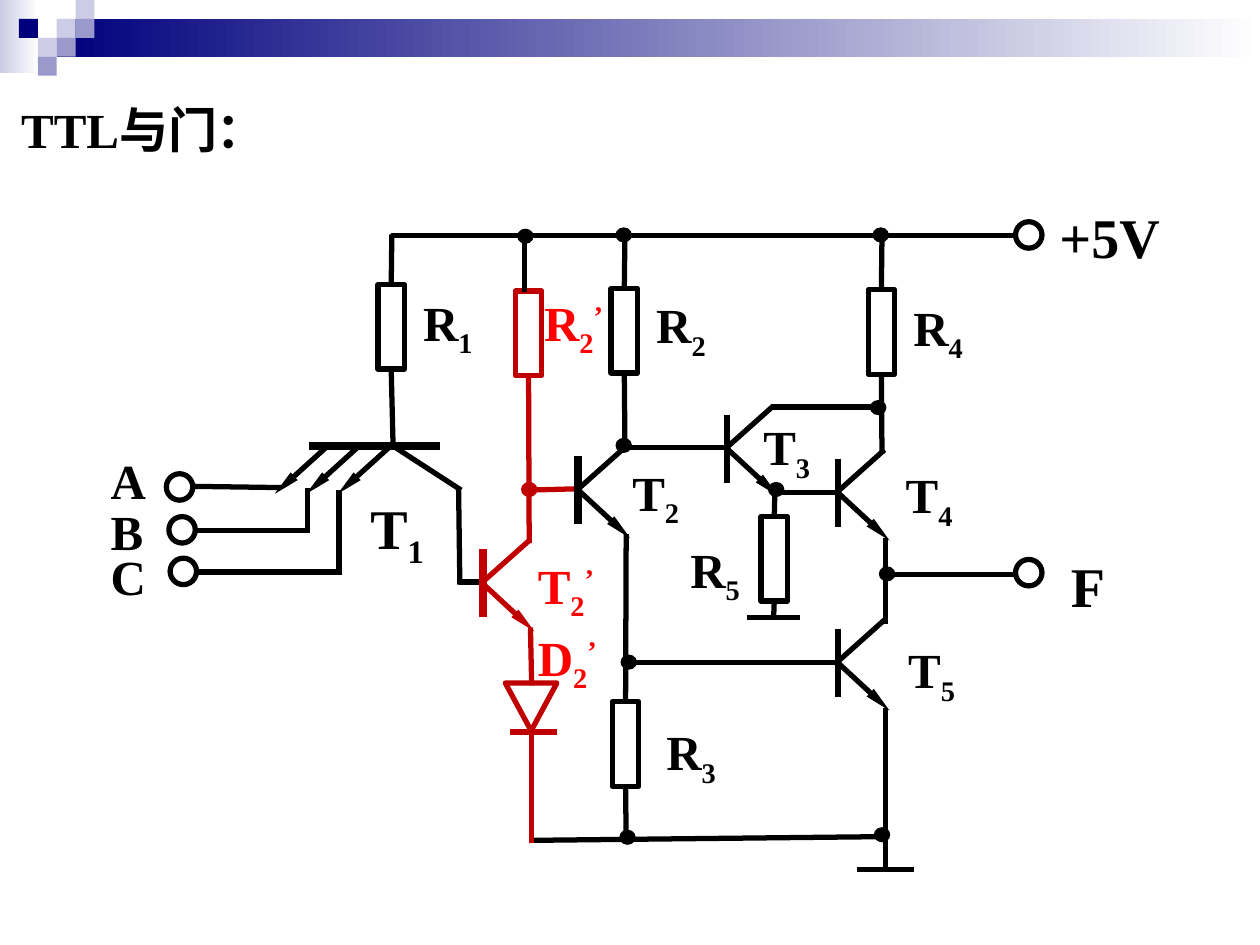
"""Build the slide with the TTL AND gate circuit."""
from lxml import etree
from pptx import Presentation
from pptx.dml.color import RGBColor
from pptx.enum.shapes import MSO_CONNECTOR as CON, MSO_SHAPE as SHP
from pptx.enum.text import MSO_AUTO_SIZE as AUTO
from pptx.oxml.ns import qn
from pptx.util import Cm, Pt

BLACK, RED, BRIGHT = "000000", "C00000", "FF0000"
NAVY, LILAC, PALE, WHITE = "00007D", "9999CC", "CCCCE6", "FFFFFF"
rgb = RGBColor.from_string


def inch(*values):
    return [Cm(2.54 * v) for v in values]


def shape(kind, box, fill=None, line=None, width=3):
    s = slide.shapes.add_shape(kind, *inch(*box))
    s.shadow.inherit = False
    s.fill.background()
    if fill:
        s.fill.solid()
        s.fill.fore_color.rgb = rgb(fill)
    s.line.fill.background()
    if line:
        s.line.color.rgb = rgb(line)
        s.line.width = Pt(width)
    return s


prs = Presentation()
prs.slide_width, prs.slide_height = inch(10, 7.5)
slide = prs.slides.add_slide(prs.slide_layouts[6])

for box, start in [((0, 0, 0.31, 0.58), PALE), ((0.45, 0.15, 9.55, 0.3), NAVY)]:
    s = shape(SHP.RECTANGLE, box)
    s.fill.gradient()
    s.fill.gradient_angle = 0
    for stop, color, pos in zip(s.fill.gradient_stops, (start, WHITE), (0, 1)):
        stop.color.rgb = rgb(color)
        stop.position = pos

for col, row, color in [
    (3, 1, PALE), (4, 0, PALE), (4, 1, LILAC), (2, 2, PALE),
    (1, 1, NAVY), (3, 2, LILAC), (2, 3, LILAC),
]:
    shape(SHP.RECTANGLE, (0.15 * col, 0.15 * row, 0.15, 0.15), color)

sites = []
for x, y, color in [
    (3, 2.26, BLACK), (4.09, 2.31, RED), (4.85, 2.29, BLACK),
    (6.89, 2.3, BLACK), (6.04, 4.1, BLACK), (4.86, 5.57, BLACK),
]:
    s = shape(SHP.RECTANGLE, (x, y, 0.21, 0.67), line=color)
    sites += [(s, 0, x + 0.105, y), (s, 2, x + 0.105, y + 0.67)]

wires = [
    (3.12, 3.54, 3.12, 2.95, BLACK),
    (3.12, 3.54, 3.66, 3.89, BLACK),
    (3.64, 3.89, 3.65, 4.64, BLACK),
    (3.83, 4.62, 3.64, 4.62, BLACK),
    (3.11, 2.25, 3.11, 1.86, BLACK),
    (3.1, 1.87, 8.07, 1.87, BLACK),
    (4.16, 2.32, 4.16, 1.89, BLACK),
    (4.96, 2.29, 4.96, 1.86, BLACK),
    (4.96, 3.55, 4.96, 2.96, BLACK),
    (5.77, 3.55, 4.96, 3.55, BLACK),
    (6.13, 3.91, 6.65, 3.91, BLACK),
    (6.13, 3.23, 7, 3.23, BLACK),
    (7, 3.6, 7, 2.97, BLACK),
    (7, 2.31, 7, 1.87, BLACK),
    (6.15, 3.89, 6.15, 4.1, BLACK),
    (6.14, 4.76, 6.14, 4.91, BLACK),
    (5.93, 4.9, 6.35, 4.9, BLACK),
    (4.97, 4.24, 4.97, 5.57, BLACK),
    (6.64, 5.26, 4.97, 5.26, BLACK),
    (4.97, 6.23, 4.97, 6.68, BLACK),
    (4.2, 6.67, 7.03, 6.64, BLACK),
    (7.03, 4.27, 7.03, 4.95, BLACK),
    (7.03, 5.62, 7.03, 6.91, BLACK),
    (6.8, 6.9, 7.25, 6.9, BLACK),
    (7.03, 4.56, 8.07, 4.56, BLACK),
    (2.23, 3.87, 1.53, 3.86, BLACK),
    (2.44, 3.87, 2.44, 4.23, BLACK),
    (2.44, 4.21, 1.55, 4.21, BLACK),
    (2.69, 3.89, 2.69, 4.56, BLACK),
    (2.71, 4.54, 1.57, 4.54, BLACK),
    (4.2, 4.31, 4.18, 3, RED),
    (4.21, 4.98, 4.22, 5.44, RED),
    (4.22, 5.81, 4.22, 6.69, RED),
    (4.56, 3.88, 4.19, 3.89, RED),
    (4.42, 5.81, 4.05, 5.81, RED),
]
lines = [(*wire, 3, False) for wire in wires]
lines.append((2.45, 3.54, 3.49, 3.54, BLACK, 4.5, False))
for x in (3.1, 2.85, 2.6):
    lines.append((x, 3.54, x - 0.42, 3.92, BLACK, 3, True))
for x, y, color, width in [
    (4.59, 3.89, BLACK, 4.5), (5.77, 3.56, BLACK, 3), (6.65, 3.91, BLACK, 3),
    (6.65, 5.26, BLACK, 3), (3.83, 4.63, RED, 4.5),
]:
    lines += [
        (x, y - 0.27, x, y + 0.27, color, width, False),
        (x, y, x + 0.41, y + 0.38, color, 3, True),
        (x, y - 0.01, x + 0.37, y - 0.34, color, 3, False),
    ]

for x1, y1, x2, y2, color, width, arrow in lines:
    s = slide.shapes.add_connector(CON.STRAIGHT, *inch(x1, y1, x2, y2))
    s.line.color.rgb = rgb(color)
    s.line.width = Pt(width)
    spPr = s._element.spPr
    etree.SubElement(spPr, qn("a:effectLst"))
    if arrow:
        etree.SubElement(spPr.find(qn("a:ln")), qn("a:tailEnd"), type="triangle", w="sm", len="lg")
    for body, site, x, y in sites:
        if max(abs(x1 - x), abs(y1 - y)) < 0.025:
            s.begin_connect(body, site)
        if max(abs(x2 - x), abs(y2 - y)) < 0.025:
            s.end_connect(body, site)

for x, y in [(8.06, 1.76), (8.06, 4.44), (1.32, 3.76), (1.34, 4.1), (1.35, 4.43)]:
    shape(SHP.OVAL, (x, y, 0.21, 0.21), line=BLACK)

for x, y, color in [
    (6.94, 6.57, BLACK), (6.98, 4.5, BLACK), (6.93, 1.81, BLACK), (4.11, 1.82, BLACK),
    (6.91, 3.18, BLACK), (4.89, 1.81, BLACK), (4.14, 3.83, RED), (4.89, 3.48, BLACK),
    (4.93, 5.2, BLACK), (6.1, 3.83, BLACK), (4.92, 6.59, BLACK),
]:
    shape(SHP.OVAL, (x, y, 0.12, 0.11), color, color, 0.75)

diode = shape(SHP.ISOSCELES_TRIANGLE, (4.01, 5.42, 0.41, 0.38), line=RED)
diode.rotation = 180

for x, y, w, h, size, color, parts in [
    (0.07, 0.74, 4.04, 0.57, 28, BLACK, ["TTL与门："]),
    (8.31, 1.56, 1.38, 0.64, 32, BLACK, ["+5V"]),
    (8.4, 4.33, 0.81, 0.64, 32, BLACK, ["F"]),
    (0.78, 3.53, 0.77, 0.57, 28, BLACK, ["A"]),
    (0.78, 3.93, 0.77, 0.57, 28, BLACK, ["B"]),
    (0.78, 4.29, 0.77, 0.57, 28, BLACK, ["C"]),
    (3.26, 2.27, 1.15, 0.63, 28, BLACK, ["R", "1"]),
    (5.11, 2.29, 1.15, 0.63, 28, BLACK, ["R", "2"]),
    (5.19, 5.68, 1.12, 0.63, 28, BLACK, ["R", "3"]),
    (7.15, 2.31, 1.15, 0.63, 28, BLACK, ["R", "4"]),
    (5.38, 4.23, 0.69, 0.63, 28, BLACK, ["R", "5"]),
    (2.84, 3.87, 0.79, 0.71, 32, BLACK, ["T", "1"]),
    (4.92, 3.62, 0.67, 0.63, 28, BLACK, ["T", "2"]),
    (5.96, 3.26, 1.08, 0.63, 28, BLACK, ["T", "3"]),
    (7.09, 3.64, 0.73, 0.63, 28, BLACK, ["T", "4"]),
    (7.11, 5.03, 0.73, 0.63, 28, BLACK, ["T", "5"]),
    (4.22, 2.27, 1.15, 0.63, 28, BRIGHT, ["R", "2", "’"]),
    (4.17, 4.36, 0.67, 0.63, 28, BRIGHT, ["T", "2", "’"]),
    (4.17, 4.93, 1.15, 0.63, 28, BRIGHT, ["D", "2", "’"]),
]:
    tf = slide.shapes.add_textbox(*inch(x, y, w, h)).text_frame
    tf.word_wrap = True
    tf.auto_size = AUTO.SHAPE_TO_FIT_TEXT
    p = tf.paragraphs[0]
    p.font.name = "Times New Roman"
    p.font.size = Pt(size)
    p.font.bold = True
    p.font.color.rgb = rgb(color)
    for text, baseline in zip(parts, (None, "-25000", "30000")):
        r = p.add_run()
        r.text = text
        if baseline:
            r.font._element.set("baseline", baseline)

prs.save("out.pptx")
